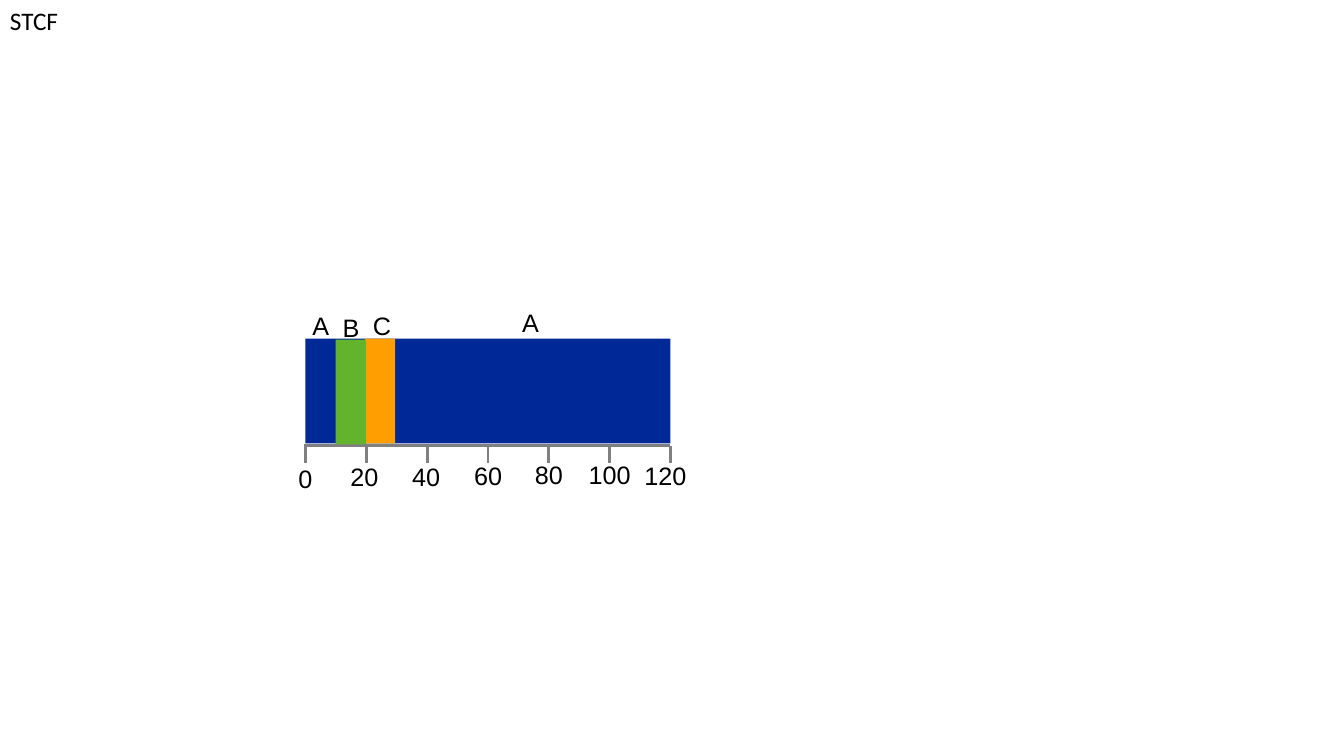
from dataclasses import dataclass

from lxml import etree
from pptx import Presentation
from pptx.dml.color import RGBColor
from pptx.enum.shapes import MSO_CONNECTOR, MSO_SHAPE
from pptx.enum.text import MSO_AUTO_SIZE, PP_ALIGN
from pptx.oxml.ns import qn
from pptx.util import Inches, Pt

STRAIGHT = MSO_CONNECTOR.STRAIGHT
RECTANGLE = MSO_SHAPE.RECTANGLE
FIT_SHAPE = MSO_AUTO_SIZE.SHAPE_TO_FIT_TEXT
CENTER = PP_ALIGN.CENTER
LEFT = PP_ALIGN.LEFT


@dataclass(frozen=True)
class Theme:
    text = RGBColor.from_string("000000")
    axis = RGBColor.from_string("808080")
    job_a = RGBColor.from_string("002896")
    job_b = RGBColor.from_string("64B32C")
    job_c = RGBColor.from_string("FF9E00")
    title_font = "Calibri"
    label_font = "Arial"
    text_size = Pt(18)
    axis_width = Pt(1.5)
    tick_width = Pt(2)


theme = Theme()


def add_label(shapes, text, left, top, width, font_name, align):
    box = shapes.add_textbox(Inches(left), Inches(top), Inches(width), Inches(0.4))
    frame = box.text_frame
    frame.word_wrap = False
    frame.auto_size = FIT_SHAPE
    frame.text = text
    paragraph = frame.paragraphs[0]
    paragraph.alignment = align
    font = paragraph.runs[0].font
    font.name = font_name
    font.size = theme.text_size
    font.color.rgb = theme.text


def add_axis_line(shapes, x1, y1, x2, y2, width):
    line = shapes.add_connector(STRAIGHT, Inches(x1), Inches(y1), Inches(x2), Inches(y2))
    line.line.color.rgb = theme.axis
    line.line.width = width
    etree.SubElement(line._element.spPr, qn("a:effectLst"))


prs = Presentation()
prs.slide_width = Inches(13.33)
prs.slide_height = Inches(7.5)
slide = prs.slides.add_slide(prs.slide_layouts[6])

add_label(slide.shapes, "STCF", 0, 0, 0.68, theme.title_font, LEFT)

timeline = slide.shapes.add_group_shape().shapes
time_zero = 3.03
time_end = 6.65
axis_y = 4.42
tick_bottom = 4.59
last_time = 120
inches_per_unit = (time_end - time_zero) / last_time

# Time axis: (time, label offset from its tick, label top)
ticks = [
    (0, 0, 4.55),
    (20, -0.02, 4.53),
    (40, -0.01, 4.53),
    (60, 0, 4.52),
    (80, 0, 4.51),
    (100, 0, 4.51),
    (120, -0.05, 4.52),
]
width_by_digits = {1: 0.34, 2: 0.48, 3: 0.62}

add_axis_line(timeline, time_zero - 0.01, axis_y, time_end, axis_y, theme.axis_width)
for time, offset, label_top in ticks:
    tick_x = time_zero + time * inches_per_unit
    add_axis_line(timeline, tick_x, tick_bottom, tick_x, axis_y, theme.tick_width)
    label_width = width_by_digits[len(str(time))]
    add_label(timeline, str(time), tick_x + offset - label_width / 2, label_top,
              label_width, theme.label_font, CENTER)

# Job A spans the whole run; B and C preempt it
job_bars = [
    (time_zero, 3.36, time_end - time_zero, theme.job_a),
    (3.62, 3.36, 0.3, theme.job_c),
    (3.33, 3.37, 0.3, theme.job_b),
]
for left, top, width, color in job_bars:
    bar = timeline.add_shape(RECTANGLE, Inches(left), Inches(top), Inches(width), Inches(1.04))
    bar.shadow.inherit = False
    bar.fill.solid()
    bar.fill.fore_color.rgb = color
    bar.line.fill.background()

job_labels = [("A", 3, 3.03), ("B", 3.3, 3.05), ("C", 3.6, 3.03), ("A", 5.08, 3)]
for job, left, top in job_labels:
    add_label(timeline, job, left, top, 0.34, theme.label_font, CENTER)

prs.save("out.pptx")
